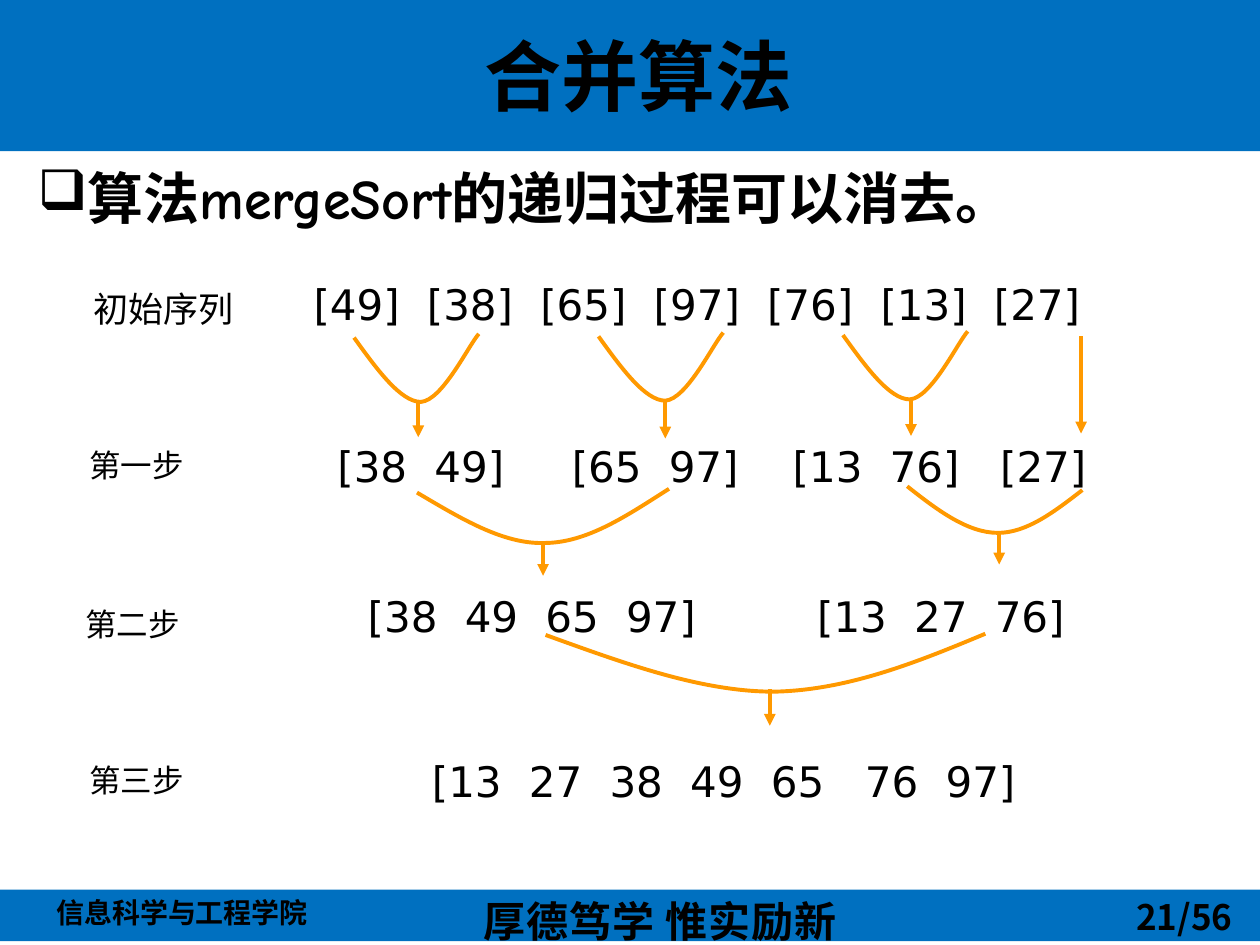
from lxml.etree import SubElement
from pptx import Presentation
from pptx.dml.color import RGBColor
from pptx.enum.shapes import MSO_CONNECTOR, MSO_SHAPE
from pptx.enum.text import MSO_ANCHOR, PP_ALIGN
from pptx.oxml.ns import qn
from pptx.util import Inches, Pt

COLORS = {"band": "0070C0", "text": "000000", "merge": "FF9900"}
COMIC, SANS, CJK = "Comic Neue", "DejaVu Sans", "Noto Sans CJK SC"

prs = Presentation()
prs.slide_width, prs.slide_height = Inches(10), Inches(7.5)
slide = prs.slides.add_slide(prs.slide_layouts[6])
shapes = slide.shapes


def add_text(text, left, top, width, height, *, size, font=SANS, bold=False,
             align=PP_ALIGN.LEFT, anchor=MSO_ANCHOR.TOP, wrap=True,
             bullet=None, stops=(), spacing=None):
    label = shapes.add_textbox(Inches(left), Inches(top), Inches(width), Inches(height))
    frame = label.text_frame
    frame.word_wrap = wrap
    frame.vertical_anchor = anchor
    paragraph = frame.paragraphs[0]
    paragraph.alignment = align
    run = paragraph.add_run()
    run.text = text
    run.font.size, run.font.bold, run.font.name = Pt(size), bold, font
    run.font.color.rgb = RGBColor.from_string(COLORS["text"])
    properties = run.font._element
    SubElement(properties, qn("a:ea"), typeface=CJK)
    if spacing:
        properties.set("spc", str(spacing))
    layout = paragraph._p.get_or_add_pPr()
    if bullet:
        layout.set("marL", str(Inches(0.38)))
        layout.set("indent", str(Inches(-0.38)))
        SubElement(layout, qn("a:buChar"), char=bullet)
    if stops:
        tabs = SubElement(layout, qn("a:tabLst"))
        for stop in stops:
            SubElement(tabs, qn("a:tab"), pos=str(Inches(stop)), algn="l")


def style_line(shape):
    shape.line.color.rgb = RGBColor.from_string(COLORS["merge"])
    shape.line.width = Pt(2.25)


for left, top, width, height in [(0, -0.03, 10, 1.23), (-0.04, 7.06, 10.04, 0.41)]:
    band = shapes.add_shape(MSO_SHAPE.RECTANGLE, Inches(left), Inches(top),
                            Inches(width), Inches(height))
    band.shadow.inherit = False
    band.fill.solid()
    band.fill.fore_color.rgb = RGBColor.from_string(COLORS["band"])
    band.line.fill.background()

add_text("信息科学与工程学院", 0.35, 7.06, 3, 0.41, size=16, font=CJK, bold=True, wrap=False)
add_text("厚德笃学 惟实励新", 3.74, 7.06, 3.04, 0.5, size=24, font=CJK, bold=True,
         wrap=False, spacing=50)
add_text("21/56", 7.55, 7.06, 2.33, 0.41, size=20, font=CJK, bold=True, align=PP_ALIGN.RIGHT)
add_text("算法mergeSort的递归过程可以消去。", 0.2, 1.25, 9.61, 5.72, size=32, font=COMIC,
         bold=True, bullet="❑")
add_text("合并算法", 0.57, -0.03, 9, 1.25, size=44, font=COMIC, bold=True,
         align=PP_ALIGN.CENTER, anchor=MSO_ANCHOR.MIDDLE)

for step, left, top, width, height, size in [
    ("初始序列", 0.64, 2.23, 1.31, 0.43, 20),
    ("第一步", 0.61, 3.49, 0.95, 0.4, 18),
    ("第二步", 0.58, 4.75, 0.95, 0.4, 18),
    ("第三步", 0.61, 5.99, 0.95, 0.4, 18),
]:
    add_text(step, left, top, width, height, size=size, wrap=False)

SEQUENCE_SIZE = 24
EM = SEQUENCE_SIZE / 72
DIGIT, BRACKET, SPACE = 0.64 * EM, 0.39 * EM, 0.32 * EM
sequences = [
    (2.39, 2.16, 6.7, "[49] [38] [65] [97] [76] [13] [27]", [2, 2, 2, 2, 2, 2]),
    (2.58, 3.45, 6.5, "[38 49] [65 97] [13 76] [27]", [2, 5, 2, 4, 2, 3]),
    (2.82, 4.64, 6.01, "[38 49 65 97] [13 27 76]", [2, 2, 2, 9, 2, 2]),
    (3.33, 5.95, 5, "[13 27 38 49 65 76 97]", [2, 2, 2, 2, 3, 2]),
]
for left, top, width, sequence, gaps in sequences:
    numbers = sequence.split()
    stops, position = [], 0
    for number, gap in zip(numbers, gaps):
        position += sum(BRACKET if mark in "[]" else DIGIT for mark in number) + gap * SPACE
        stops.append(position)
    add_text("\t".join(numbers), left, top, width, 0.5, size=SEQUENCE_SIZE, stops=stops)

first_merge = [(2.81, 2.68), (2.99, 2.93), (3.18, 3.19), (3.34, 3.19),
               (3.51, 3.18), (3.72, 2.74), (3.8, 2.65)]
merges = [[(x + 1.94 * pair, y - 0.01 * pair) for x, y in first_merge] for pair in range(3)]
merges += [
    [(3.31, 3.91), (3.65, 4.11), (3.99, 4.32), (4.32, 4.31),
     (4.66, 4.31), (4.98, 4.09), (5.31, 3.88)],
    [(7.2, 3.86), (7.44, 4.05), (7.68, 4.23), (7.92, 4.23),
     (8.15, 4.23), (8.37, 4.06), (8.59, 3.89)],
    [(4.33, 5.04), (4.94, 5.26), (5.56, 5.49), (6.14, 5.49),
     (6.72, 5.48), (7.27, 5.26), (7.82, 5.03)],
]
for merge in merges:
    points = [(Inches(x), Inches(y)) for x, y in merge]
    builder = shapes.build_freeform(*points[0])
    builder.add_line_segments(points[1:], close=False)
    curve = builder.convert_to_shape()
    curve.shadow.inherit = False
    curve.fill.background()
    style_line(curve)
    outline = curve._element.find(".//" + qn("a:path"))
    segments = outline.findall(qn("a:lnTo"))
    for start in range(0, len(segments), 3):
        bezier = SubElement(outline, qn("a:cubicBezTo"))
        for segment in segments[start:start + 3]:
            bezier.append(segment[0])
            outline.remove(segment)

for x, top, bottom in [
    (3.32, 3.18, 3.47), (5.28, 3.19, 3.48), (7.23, 3.17, 3.46), (8.58, 2.67, 3.44),
    (4.31, 4.32, 4.57), (7.93, 4.23, 4.48), (6.11, 5.47, 5.76),
]:
    arrow = shapes.add_connector(MSO_CONNECTOR.STRAIGHT, Inches(x), Inches(top),
                                 Inches(x), Inches(bottom))
    style_line(arrow)
    SubElement(arrow.line._get_or_add_ln(), qn("a:tailEnd"), type="triangle")
    SubElement(arrow._element.spPr, qn("a:effectLst"))

prs.save("out.pptx")
